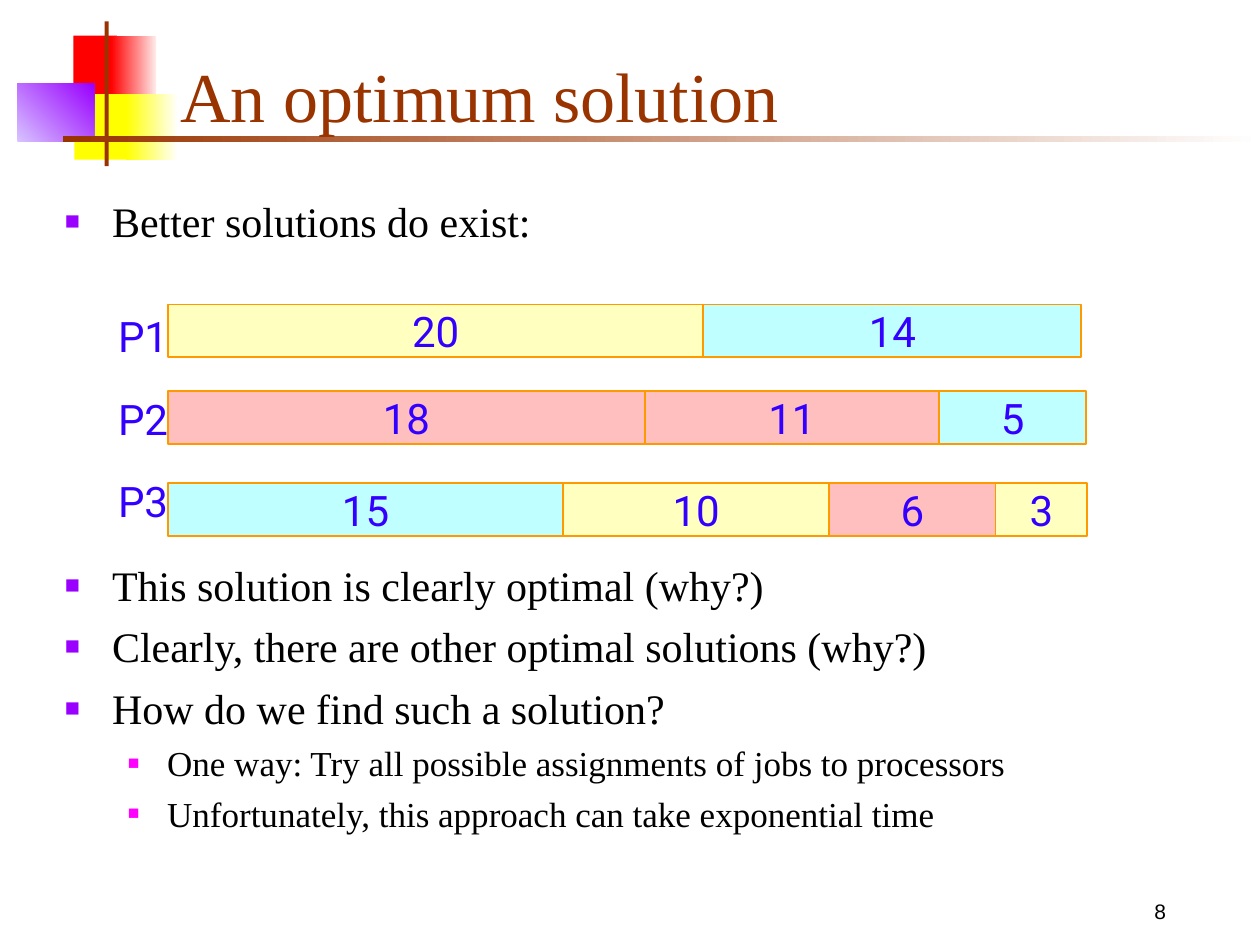
import pptx
import pptx.util
import pptx.dml.color
import pptx.enum.shapes
import pptx.enum.text
import pptx.oxml
import pptx.oxml.ns

Cm, Pt = pptx.util.Cm, pptx.util.Pt
RGB = pptx.dml.color.RGBColor
ANCHOR = pptx.enum.text.MSO_ANCHOR
ALIGN = pptx.enum.text.PP_ALIGN

RED, PALE_RED = RGB(0xFF, 0x00, 0x00), RGB(0xFF, 0xEA, 0xEA)
YELLOW, PALE_YELLOW = RGB(0xFF, 0xFF, 0x00), RGB(0xFF, 0xFF, 0xF8)
LILAC, PURPLE = RGB(0xD8, 0xC4, 0xFF), RGB(0x99, 0x00, 0xFF)
BROWN, WHITE, BLACK = RGB(0x99, 0x33, 0x00), RGB(0xFF, 0xFF, 0xFF), RGB(0, 0, 0)
MAGENTA, ORANGE, BLUE = RGB(0xFF, 0, 0xFF), RGB(0xFF, 0x99, 0), RGB(0x33, 0, 0xFF)
CREAM, PINK, AQUA = RGB(0xFF, 0xFF, 0xBF), RGB(0xFF, 0xBF, 0xBF), RGB(0xBF, 0xFF, 0xFF)

# Content; all lengths in centimetres
TITLE = "An optimum solution"
PAGE_NUMBER = "8"
INTRO = [(0, "Better solutions do exist:")]
REMARKS = [
    (0, "This solution is clearly optimal (why?)"),
    (0, "Clearly, there are other optimal solutions (why?)"),
    (0, "How do we find such a solution?"),
    (1, "One way: Try all possible assignments of jobs to processors"),
    (1, "Unfortunately, this approach can take exponential time"),
]
# Processor, top, jobs as (time, colour, right edge)
SCHEDULE = [
    ("P1", 6.14, [("20", CREAM, 14.18), ("14", AQUA, 21.8)]),
    ("P2", 7.89, [("18", PINK, 13), ("11", PINK, 18.93), ("5", AQUA, 21.9)]),
    ("P3", 9.74, [("15", AQUA, 11.35), ("10", CREAM, 16.72),
                  ("6", PINK, 20.07), ("3", CREAM, 21.92)]),
]
BAR_LEFT, BAR_HEIGHT = 3.39, 1.06
# Left, top, width, height, colours, gradient angle
ORNAMENTS = [
    (1.48, 0.72, 0.88, 1.32, (RED,), 0),
    (2.24, 0.72, 0.91, 1.32, (RED, PALE_RED), 0),
    (1.5, 1.9, 1.17, 1.32, (YELLOW,), 0),
    (2.54, 1.9, 1.02, 1.32, (YELLOW, PALE_YELLOW), 0),
    (0.35, 1.69, 1.55, 1.17, (LILAC, PURPLE), 45),
    (2.11, 0.43, 0.08, 2.92, (BROWN,), 0),
    (1.27, 2.74, 24.13, 0.13, (BROWN, WHITE), 0),
]
# Level: indent, hanging, bullet colour, bullet percent, size, space before
LEVELS = {
    0: (0.95, 0.95, PURPLE, 60, 24, 6.4),
    1: (2.06, 0.79, MAGENTA, 55, 20, 5),
}

deck = pptx.Presentation()
deck.slide_width, deck.slide_height = Cm(25.4), Cm(19.05)
slide = deck.slides.add_slide(deck.slide_layouts[6])


def add_rectangle(left, top, width, height):
    rectangle = slide.shapes.add_shape(
        pptx.enum.shapes.MSO_SHAPE.RECTANGLE,
        Cm(left), Cm(top), Cm(width), Cm(height))
    rectangle.shadow.inherit = False
    return rectangle


def add_frame(left, top, width, height):
    frame = slide.shapes.add_textbox(
        Cm(left), Cm(top), Cm(width), Cm(height)).text_frame
    frame.word_wrap = True
    return frame


def set_font(paragraph, name, size, color):
    paragraph.font.name = name
    paragraph.font.size = Pt(size)
    paragraph.font.color.rgb = color


def add_paragraph(frame, index, text, space_before):
    paragraph = frame.add_paragraph() if index else frame.paragraphs[0]
    paragraph.text = text
    paragraph.space_before = Pt(space_before if index else 0)
    return paragraph


def set_bullet(paragraph, indent, hanging, color, percent):
    properties = paragraph._p.get_or_add_pPr()
    properties.set("marL", str(Cm(indent)))
    properties.set("indent", str(-Cm(hanging)))
    namespace = pptx.oxml.ns.nsdecls("a")
    for xml in (
        f'<a:buClr {namespace}><a:srgbClr val="{color}"/></a:buClr>',
        f'<a:buSzPct {namespace} val="{percent * 1000}"/>',
        f'<a:buFont {namespace} typeface="Arial"/>',
        f'<a:buChar {namespace} char="■"/>',
    ):
        properties.append(pptx.oxml.parse_xml(xml))


def add_bullets(items, *place):
    frame = add_frame(*place)
    for index, (level, text) in enumerate(items):
        indent, hanging, color, percent, size, space = LEVELS[level]
        paragraph = add_paragraph(frame, index, text, space)
        paragraph.level = level
        set_bullet(paragraph, indent, hanging, color, percent)
        set_font(paragraph, "Times New Roman", size, BLACK)


# Corner ornament and rule under the title
for *place, colors, angle in ORNAMENTS:
    block = add_rectangle(*place)
    block.line.fill.background()
    if len(colors) == 1:
        block.fill.solid()
        block.fill.fore_color.rgb = colors[0]
    else:
        block.fill.gradient()
        block.fill.gradient_angle = angle
        for stop, position, color in zip(block.fill.gradient_stops, (0, 1), colors):
            stop.position = position
            stop.color.rgb = color

# Title and page number
title = add_frame(3.39, 0.85, 21.64, 2.12)
title.vertical_anchor = ANCHOR.MIDDLE
title.text = TITLE
set_font(title.paragraphs[0], "Times New Roman", 40, BROWN)

page_number = add_frame(22.02, 17.98, 2.74, 0.76)
page_number.text = PAGE_NUMBER
page_number.paragraphs[0].alignment = ALIGN.CENTER
set_font(page_number.paragraphs[0], "Arial", 12, BLACK)

# Bulleted text above and below the schedule
add_bullets(INTRO, 1.06, 3.81, 23.83, 1.48)
add_bullets(REMARKS, 1.06, 11.15, 23.83, 5.87)

# Job bars, each starting where the one before it ends
for processor, top, jobs in SCHEDULE:
    left = BAR_LEFT
    for time, color, right in jobs:
        job = add_rectangle(left, top, right - left, BAR_HEIGHT)
        job.fill.solid()
        job.fill.fore_color.rgb = color
        job.line.color.rgb = ORANGE
        job.line.width = Pt(1)
        job.text_frame.word_wrap = False
        job.text_frame.vertical_anchor = ANCHOR.MIDDLE
        job.text_frame.text = time
        job.text_frame.paragraphs[0].alignment = ALIGN.CENTER
        set_font(job.text_frame.paragraphs[0], "Roboto", 24, BLUE)
        left = right

# Processor names
processors = add_frame(2.13, 5.94, 1.68, 4.9)
for index, (processor, top, jobs) in enumerate(SCHEDULE):
    label = add_paragraph(processors, index, processor, 12.5)
    label.line_spacing = 1.2
    set_font(label, "Roboto", 24, BLUE)

deck.save("out.pptx")
